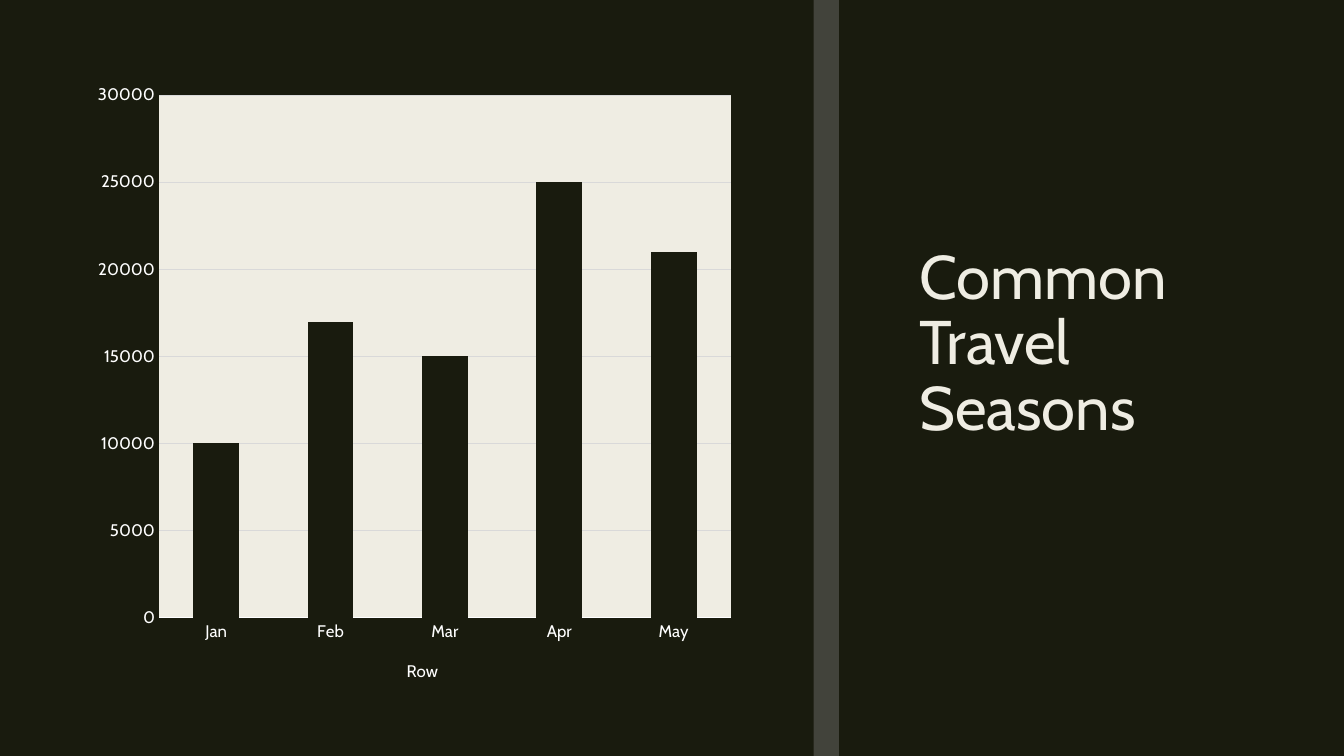
from dataclasses import dataclass

from lxml.etree import SubElement
from pptx import Presentation
from pptx.chart.data import CategoryChartData
from pptx.dml.color import RGBColor
from pptx.enum.chart import XL_CHART_TYPE, XL_LEGEND_POSITION, XL_TICK_MARK
from pptx.enum.shapes import MSO_SHAPE
from pptx.enum.text import MSO_ANCHOR
from pptx.oxml import parse_xml
from pptx.oxml.ns import nsdecls, qn
from pptx.util import Inches, Pt

TITLE = "Common Travel Seasons"
SERIES = "Row"
VISITORS = {"Jan": 10000, "Feb": 17000, "Mar": 15000, "Apr": 25000, "May": 21000}

WIDTH, HEIGHT = 13.33, 7.5
MARGIN = 0.7
CONTENT_HEIGHT = HEIGHT - 2 * MARGIN
CHART_BOX = (0.86, MARGIN, 6.52, CONTENT_HEIGHT)
DIVIDER_BOX = (8.07, 0, 0.25, HEIGHT)
TITLE_BOX = (9.02, MARGIN, 3.61, CONTENT_HEIGHT)
PLOT_SHARES = {"x": 0.11, "y": 0.04, "w": 0.87, "h": 0.85}


@dataclass(frozen=True)
class Theme:
    font: str = "Cabin"
    dark: str = "191B0E"
    cream: str = "EFEDE3"
    white: str = "FFFFFF"
    grid: str = "D9D9D9"
    divider: str = "808080"
    divider_opacity: int = 40
    title_size: int = 44
    label_size: int = 12
    line_width: float = 0.75


THEME = Theme()


def apply(target, values):
    for name, value in values.items():
        setattr(target, name, value)


def paint(fill, color):
    fill.solid()
    fill.fore_color.rgb = RGBColor.from_string(color)


def style_font(font, size, color):
    apply(font, {"name": THEME.font, "size": Pt(size), "bold": False})
    font.color.rgb = RGBColor.from_string(color)


def style_line(line, color):
    paint(line.fill, color)
    line.width = Pt(THEME.line_width)


def add_divider(page):
    bar = page.shapes.add_shape(MSO_SHAPE.RECTANGLE, *map(Inches, DIVIDER_BOX))
    bar.shadow.inherit = False
    bar.line.fill.background()
    paint(bar.fill, THEME.divider)
    color = next(bar.fill._xPr.iter(qn("a:srgbClr")))
    SubElement(color, qn("a:alpha"), val=str(THEME.divider_opacity * 1000))


def add_title(page):
    box = page.shapes.add_textbox(*map(Inches, TITLE_BOX))
    frame = box.text_frame
    apply(frame, {
        "word_wrap": True,
        "vertical_anchor": MSO_ANCHOR.MIDDLE,
        "margin_bottom": Inches(MARGIN),
    })
    para = frame.paragraphs[0]
    para.line_spacing = 0.89
    span = para.add_run()
    span.text = TITLE
    style_font(span.font, THEME.title_size, THEME.cream)


def style_plot_area(chart):
    area = chart._chartSpace.chart.plotArea
    for layout in area.findall(qn("c:layout")):
        area.remove(layout)
    shares = "".join(f'<c:{key} val="{value}"/>' for key, value in PLOT_SHARES.items())
    area.insert(0, parse_xml(
        f'<c:layout {nsdecls("c")}><c:manualLayout><c:layoutTarget val="inner"/>'
        f'<c:xMode val="edge"/><c:yMode val="edge"/>{shares}</c:manualLayout></c:layout>'))
    area.append(parse_xml(
        f'<c:spPr {nsdecls("c", "a")}><a:solidFill><a:srgbClr val="{THEME.cream}"/>'
        '</a:solidFill></c:spPr>'))


def add_visitor_chart(page):
    data = CategoryChartData()
    data.categories = list(VISITORS)
    data.add_series(SERIES, list(VISITORS.values()))
    chart = page.shapes.add_chart(
        XL_CHART_TYPE.COLUMN_STACKED, *map(Inches, CHART_BOX), data).chart
    apply(chart, {"has_title": False, "has_legend": True})
    apply(chart.legend, {"position": XL_LEGEND_POSITION.BOTTOM, "include_in_layout": False})

    plot = chart.plots[0]
    apply(plot, {"gap_width": 150, "overlap": 100, "vary_by_categories": False})
    paint(plot.series[0].format.fill, THEME.dark)

    months, counts = chart.category_axis, chart.value_axis
    for axis in (months, counts):
        apply(axis, {
            "major_tick_mark": XL_TICK_MARK.NONE,
            "minor_tick_mark": XL_TICK_MARK.NONE,
        })
    for owner in (chart, chart.legend, months.tick_labels, counts.tick_labels):
        style_font(owner.font, THEME.label_size, THEME.white)
    apply(counts, {"minimum_scale": 0, "maximum_scale": 30000, "major_unit": 5000,
                   "has_major_gridlines": True})
    style_line(months.format.line, THEME.white)
    style_line(counts.major_gridlines.format.line, THEME.grid)
    counts.format.line.fill.background()
    style_plot_area(chart)


def main():
    deck = Presentation()
    apply(deck, {"slide_width": Inches(WIDTH), "slide_height": Inches(HEIGHT)})
    page = deck.slides.add_slide(deck.slide_layouts[6])
    paint(page.background.fill, THEME.dark)
    add_title(page)
    add_divider(page)
    add_visitor_chart(page)
    deck.save("out.pptx")


if __name__ == "__main__":
    main()
